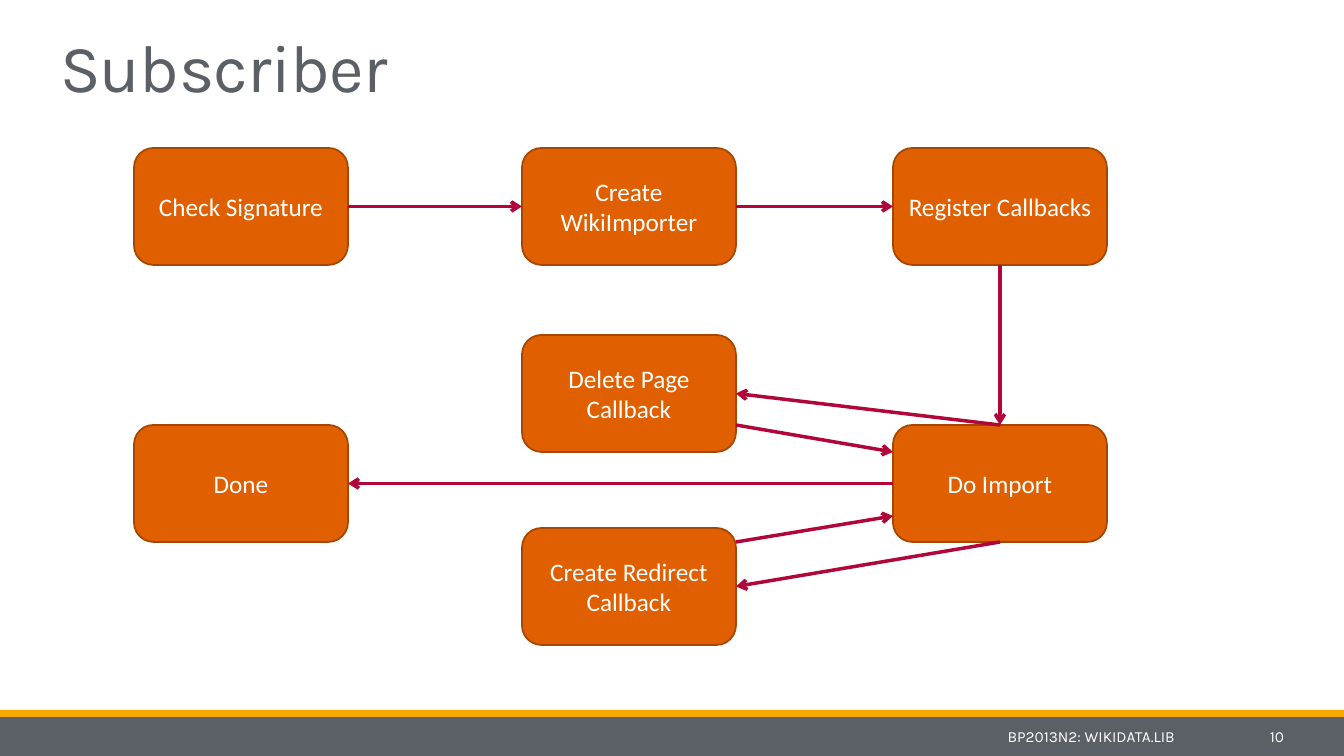
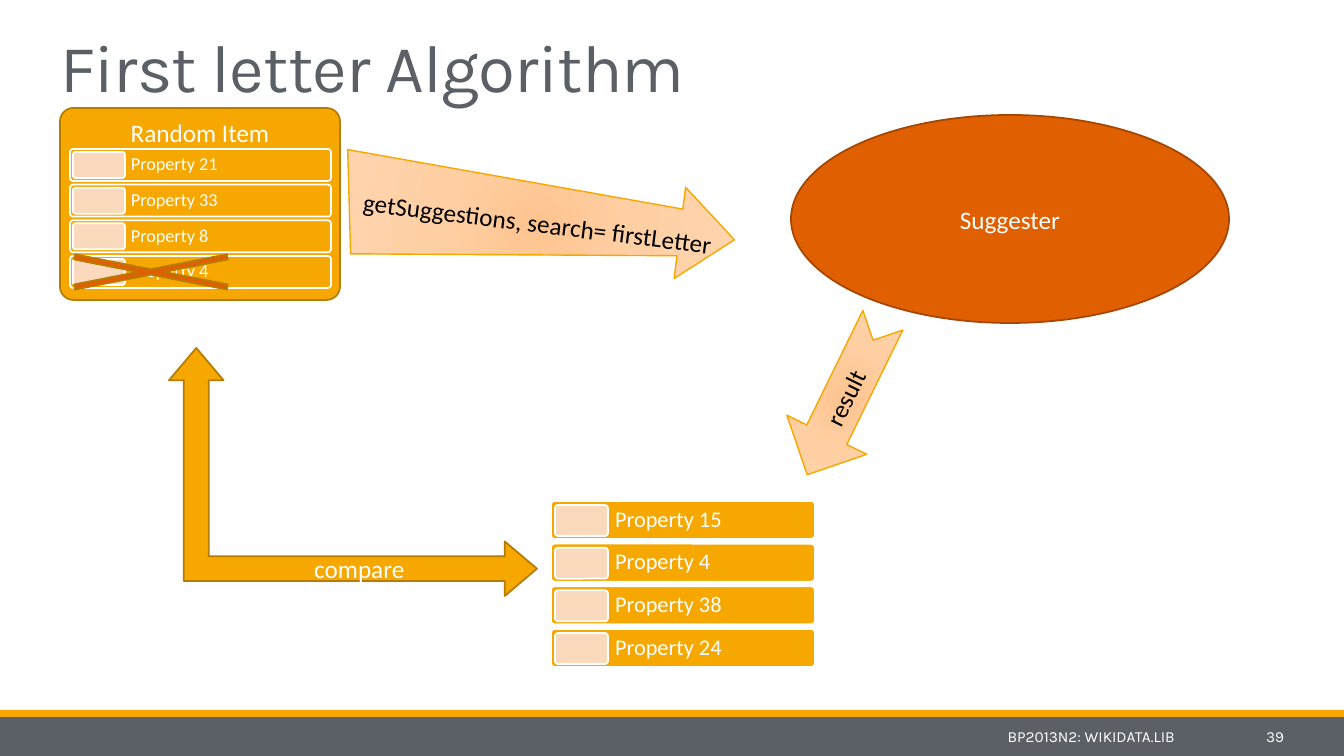
import pptx
import pptx.dml.color
import pptx.enum.shapes
import pptx.enum.text
import pptx.oxml
import pptx.oxml.ns
import pptx.util
from lxml import etree

RGBColor = pptx.dml.color.RGBColor
SHAPE = pptx.enum.shapes.MSO_SHAPE
ALIGN = pptx.enum.text.PP_ALIGN
ANCHOR = pptx.enum.text.MSO_ANCHOR
qn = pptx.oxml.ns.qn

WHITE = RGBColor(0xFF, 0xFF, 0xFF)
BLACK = RGBColor(0x00, 0x00, 0x00)
GREY = RGBColor(0x5A, 0x60, 0x65)
YELLOW = RGBColor(0xF6, 0xA8, 0x00)
DARK_YELLOW = RGBColor(0xB6, 0x7C, 0x00)
ORANGE = RGBColor(0xE0, 0x5F, 0x00)
DARK_ORANGE = RGBColor(0xA6, 0x46, 0x00)
PEACH = RGBColor(0xFB, 0xD9, 0xBD)
CRIMSON = RGBColor(0xB1, 0x06, 0x3A)
GLOW_STOPS = [(0, RGBColor(0xFD, 0xC4, 0x8F)), (45, RGBColor(0xFF, 0xCF, 0xA4)),
              (100, RGBColor(0xFF, 0xD5, 0xAF))]

EMU_PER_PX = pptx.util.Inches(1) / 100.8
SLIDE_WIDTH, SLIDE_HEIGHT = 1344, 756
BODY_FONT, HEADING_FONT = "Calibri", "Karla"

# Shared frame
FOOTER = "BP2013N2: WIKIDATA.LIB"
BANDS = [((0, 717, SLIDE_WIDTH, 39), GREY), ((0, 710, SLIDE_WIDTH, 7), YELLOW)]
TITLE_BOX = (50, 0, 1113, 111)
FOOTER_BOX = (160, 717, 1025, 39)
NUMBER_BOX = (1188, 717, 106, 39)

# Import flow: left and top of each step
STEP_WIDTH, STEP_HEIGHT = 214, 117
LEFT_COLUMN, MIDDLE_COLUMN, RIGHT_COLUMN = 134, 522, 893
STEPS = {
    "Check Signature": (LEFT_COLUMN, 148),
    "Create WikiImporter": (MIDDLE_COLUMN, 148),
    "Register Callbacks": (RIGHT_COLUMN, 148),
    "Do Import": (RIGHT_COLUMN, 425),
    "Create Redirect Callback": (MIDDLE_COLUMN, 528),
    "Delete Page Callback": (MIDDLE_COLUMN, 335),
    "Done": (LEFT_COLUMN, 425),
}
TOP, LEFT, BOTTOM, RIGHT = range(4)
FLOW = [
    ("Check Signature", RIGHT, "Create WikiImporter", LEFT),
    ("Create WikiImporter", RIGHT, "Register Callbacks", LEFT),
    ("Register Callbacks", BOTTOM, "Do Import", TOP),
    ("Do Import", LEFT, "Done", RIGHT),
    ("Do Import", BOTTOM, "Create Redirect Callback", RIGHT),
    ("Do Import", TOP, "Delete Page Callback", RIGHT),
]
RETURNS = [(736, 542, 893, 516), (736, 425, 893, 452)]

# Property lists
ITEM_LIST = dict(
    names=["Property 21", "Property 33", "Property 8", "Property 4"],
    left=70, first_top=149, last_top=256, width=261, height=32,
    swatch=(3, 3, 52, 26), text_left=60, size=13)
RESULT_LIST = dict(
    names=["Property 15", "Property 4", "Property 38", "Property 24"],
    left=551, first_top=501, last_top=629, width=264, height=38,
    swatch=(4, 4, 53, 31), text_left=63, size=16)
REQUEST_ARROW = [(340, 174), (680, 191), (680, 169), (735, 215),
                 (680, 261), (680, 238), (356, 277)]


def px(value):
    return pptx.util.Emu(round(value * EMU_PER_PX))


def write(shape, text, size=18, color=WHITE, align=ALIGN.CENTER,
          font=BODY_FONT, anchor=ANCHOR.MIDDLE):
    frame = shape.text_frame
    frame.word_wrap = True
    frame.vertical_anchor = anchor
    frame.text = text
    paragraph = frame.paragraphs[0]
    paragraph.alignment = align
    paragraph.font.size = pptx.util.Pt(size)
    paragraph.font.name = font
    paragraph.font.color.rgb = color
    return paragraph


def style(shape, fill, line=None, width=1.25):
    shape.shadow.inherit = False
    if fill is None:
        add_glow(shape)
    else:
        shape.fill.solid()
        shape.fill.fore_color.rgb = fill
    if line is None:
        shape.line.fill.background()
    else:
        shape.line.color.rgb = line
        shape.line.width = pptx.util.Pt(width)


def add_glow(shape):
    """Radial peach gradient, placed right after the geometry."""
    stops = "".join(
        f'<a:gs pos="{position * 1000}"><a:srgbClr val="{color}"/></a:gs>'
        for position, color in GLOW_STOPS)
    gradient = pptx.oxml.parse_xml(
        f'<a:gradFill {pptx.oxml.ns.nsdecls("a")} rotWithShape="1">'
        f'<a:gsLst>{stops}</a:gsLst><a:path path="circle"><a:fillToRect '
        'l="100000" t="100000" r="100000" b="100000"/></a:path></a:gradFill>')
    shape._element.spPr.insert(2, gradient)


def add_shape(slide, kind, box, fill, line=None, adjustments=(), width=1.25):
    shape = slide.shapes.add_shape(kind, *map(px, box))
    for index, value in enumerate(adjustments):
        shape.adjustments[index] = value
    style(shape, fill, line, width)
    return shape


def flip(shape, direction):
    shape._element.spPr.find(qn("a:xfrm")).set(direction, "1")


def add_arrow(slide, start_x, start_y, end_x, end_y):
    connector = slide.shapes.add_connector(
        pptx.enum.shapes.MSO_CONNECTOR.STRAIGHT,
        px(start_x), px(start_y), px(end_x), px(end_y))
    connector.line.color.rgb = CRIMSON
    connector.line.width = pptx.util.Pt(2.5)
    properties = connector._element.spPr
    etree.SubElement(properties.find(qn("a:ln")), qn("a:tailEnd"), type="arrow")
    etree.SubElement(properties, qn("a:effectLst"))
    return connector


def add_bands(slide, layout):
    """Draw the bottom bands and move them to the shared layout."""
    for index, (box, color) in enumerate(BANDS):
        band = add_shape(slide, SHAPE.RECTANGLE, box, color)
        layout.shapes._spTree.insert(2 + index, band._element)


def start_slide(presentation, title, number):
    slide = presentation.slides.add_slide(presentation.slide_layouts[5])
    heading = slide.shapes.title
    heading.left, heading.top, heading.width, heading.height = map(px, TITLE_BOX)
    paragraph = write(heading, title, 48, GREY, ALIGN.LEFT, HEADING_FONT, ANCHOR.BOTTOM)
    paragraph.line_spacing = 0.85
    paragraph._p.pPr.find(qn("a:defRPr")).set("spc", "-50")
    heading.text_frame.auto_size = pptx.enum.text.MSO_AUTO_SIZE.NONE
    for box, text in ((FOOTER_BOX, FOOTER), (NUMBER_BOX, str(number))):
        write(slide.shapes.add_textbox(*map(px, box)), text, 11, WHITE,
              ALIGN.RIGHT, HEADING_FONT)
    return slide


def add_property_list(slide, names, left, first_top, last_top, width, height,
                      swatch, text_left, size):
    pitch = (last_top - first_top) / (len(names) - 1)
    offset_x, offset_y, swatch_width, swatch_height = swatch
    for index, name in enumerate(names):
        top = first_top + index * pitch
        bar = add_shape(slide, SHAPE.ROUNDED_RECTANGLE, (left, top, width, height),
                        YELLOW, WHITE, [0.1])
        write(bar, name, size, align=ALIGN.LEFT).line_spacing = 0.9
        bar.text_frame.margin_left = px(text_left)
        add_shape(slide, SHAPE.ROUNDED_RECTANGLE,
                  (left + offset_x, top + offset_y, swatch_width, swatch_height),
                  PEACH, WHITE, [0.1])


def build_subscriber(slide):
    boxes = {}
    for name, (left, top) in STEPS.items():
        boxes[name] = add_shape(slide, SHAPE.ROUNDED_RECTANGLE,
                                (left, top, STEP_WIDTH, STEP_HEIGHT), ORANGE, DARK_ORANGE)
        write(boxes[name], name)
    for source, source_side, target, target_side in FLOW:
        arrow = add_arrow(slide, 0, 0, 0, 0)
        arrow.begin_connect(boxes[source], source_side)
        arrow.end_connect(boxes[target], target_side)
    for ends in RETURNS:
        add_arrow(slide, *ends)


def build_first_letter(slide):
    # Random item and its properties
    card = add_shape(slide, SHAPE.ROUNDED_RECTANGLE, (60, 108, 280, 192),
                     YELLOW, DARK_YELLOW, [0.07])
    write(card, "Random Item", anchor=ANCHOR.TOP)
    add_property_list(slide, **ITEM_LIST)

    # Suggester and its result
    suggester = add_shape(slide, SHAPE.OVAL, (791, 115, 438, 208), ORANGE, DARK_ORANGE)
    write(suggester, "Suggester")
    add_property_list(slide, **RESULT_LIST)

    # Arrows between the parts
    builder = slide.shapes.build_freeform(*REQUEST_ARROW[0], scale=EMU_PER_PX)
    builder.add_line_segments(REQUEST_ARROW[1:], close=True)
    request = builder.convert_to_shape()
    style(request, None, YELLOW, 1)
    request.rotation = 7.2
    write(request, "getSuggestions, search= firstLetter", color=BLACK)

    result = add_shape(slide, SHAPE.NOTCHED_RIGHT_ARROW, (759, 353, 172, 89),
                       None, YELLOW, width=1)
    result.rotation = 116.1
    flip(result, "flipV")
    write(result, "result", color=BLACK)

    compare = add_shape(slide, SHAPE.LEFT_UP_ARROW, (169, 348, 368, 248),
                        YELLOW, DARK_YELLOW, [0.1, 0.11, 0.13])
    flip(compare, "flipH")
    write(compare, "compare")

    # Cross over the removed property
    add_shape(slide, SHAPE.MATH_MULTIPLY, (4, 243, 294, 58), ORANGE, DARK_YELLOW, [0.09])


def main():
    presentation = pptx.Presentation()
    presentation.slide_width = px(SLIDE_WIDTH)
    presentation.slide_height = px(SLIDE_HEIGHT)
    subscriber = start_slide(presentation, "Subscriber", 10)
    add_bands(subscriber, subscriber.slide_layout)
    build_subscriber(subscriber)
    build_first_letter(start_slide(presentation, "First letter Algorithm", 39))
    presentation.save("out.pptx")


if __name__ == "__main__":
    main()
